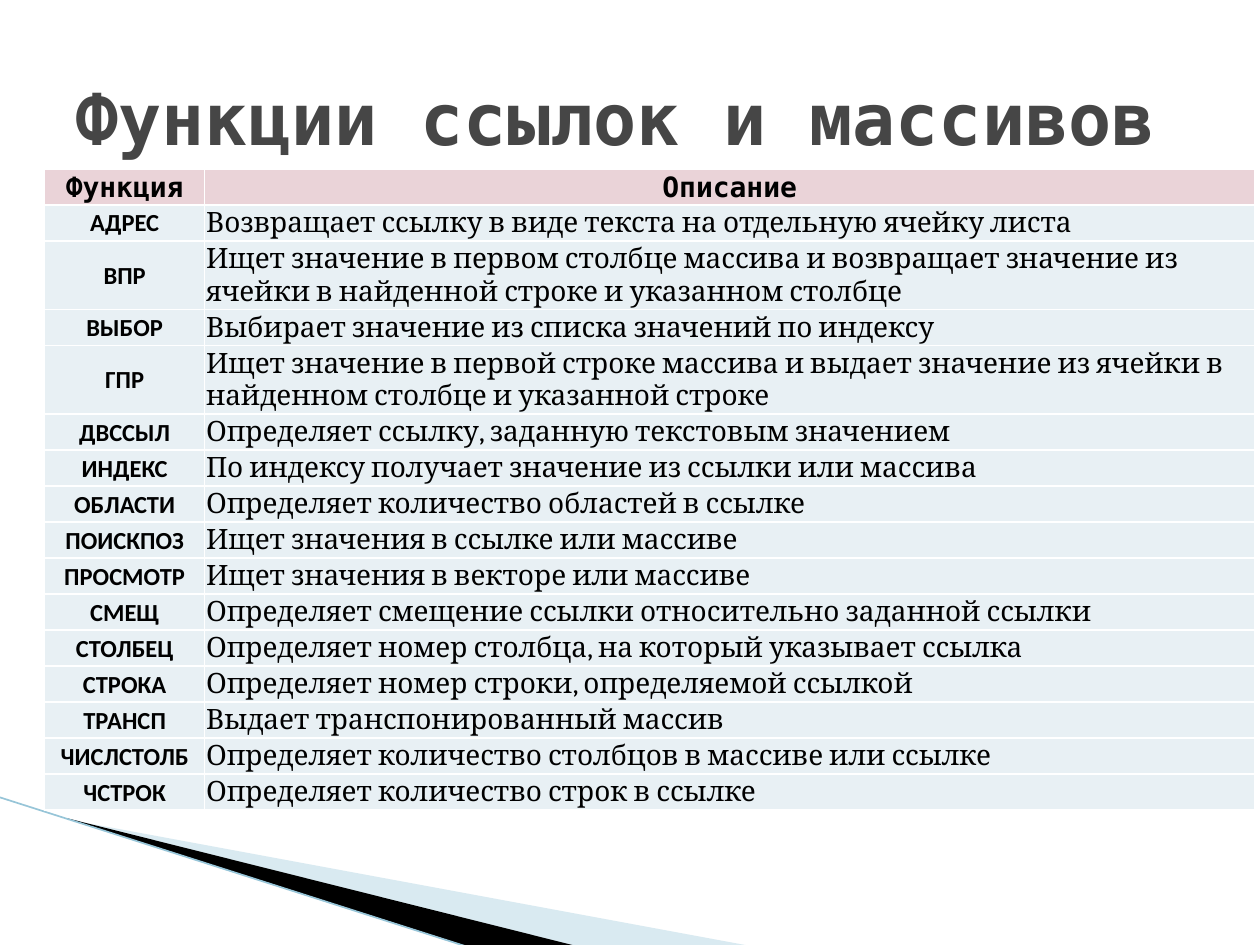
from dataclasses import dataclass

from lxml.etree import SubElement
from pptx import Presentation
from pptx.dml.color import RGBColor
from pptx.enum.shapes import MSO_CONNECTOR as Connector
from pptx.enum.text import MSO_ANCHOR as Anchor, PP_ALIGN as Align
from pptx.oxml.ns import qn
from pptx.util import Pt


@dataclass(frozen=True)
class Theme:
    title_color: str = "464646"
    text_color: str = "000000"
    header_fill: str = "EAD3D8"
    body_fill: str = "E8F0F4"
    border: str = "FFFFFF"
    pale_wedge: str = "A0CBDC"
    dark_wedge: str = "000000"
    edge: str = "97C5D8"
    heading_font: str = "DejaVu Sans Mono"
    name_font: str = "Calibri"
    description_font: str = "Cambria"
    title_size: float = 41
    table_size: float = 16
    name_size: float = 14


FUNCTIONS = [
    ("АДРЕС", "Возвращает ссылку в виде текста на отдельную ячейку листа"),
    ("ВПР", "Ищет значение в первом столбце массива и возвращает значение из "
            "ячейки в найденной строке и указанном столбце"),
    ("ВЫБОР", "Выбирает значение из списка значений по индексу"),
    ("ГПР", "Ищет значение в первой строке массива и выдает значение из ячейки в "
            "найденном столбце и указанной строке"),
    ("ДВССЫЛ", "Определяет ссылку, заданную текстовым значением"),
    ("ИНДЕКС", "По индексу получает значение из ссылки или массива"),
    ("ОБЛАСТИ", "Определяет количество областей в ссылке"),
    ("ПОИСКПОЗ", "Ищет значения в ссылке или массиве"),
    ("ПРОСМОТР", "Ищет значения в векторе или массиве"),
    ("СМЕЩ", "Определяет смещение ссылки относительно заданной ссылки"),
    ("СТОЛБЕЦ", "Определяет номер столбца, на который указывает ссылка"),
    ("СТРОКА", "Определяет номер строки, определяемой ссылкой"),
    ("ТРАНСП", "Выдает транспонированный массив"),
    ("ЧИСЛСТОЛБ", "Определяет количество столбцов в массиве или ссылке"),
    ("ЧСТРОК", "Определяет количество строк в ссылке"),
]


class SlideBuilder:
    def __init__(self, slide, theme):
        self.shapes = slide.shapes
        self.theme = theme

    def wedge(self, points, color, opacity=100):
        start, *rest = [(Pt(x), Pt(y)) for x, y in points]
        outline = self.shapes.build_freeform(*start)
        outline.add_line_segments(rest, close=True)
        shape = outline.convert_to_shape()
        shape.shadow.inherit = False
        shape.line.fill.background()
        shape.fill.solid()
        shape.fill.fore_color.rgb = RGBColor.from_string(color)
        if opacity < 100:
            fill_color = shape.fill._xPr.find(qn("a:solidFill"))[0]
            SubElement(fill_color, qn("a:alpha"), val=str(opacity * 1000))

    def line(self, start, end, color, width):
        connector = self.shapes.add_connector(
            Connector.STRAIGHT, *map(Pt, (*start, *end)))
        connector.line.color.rgb = RGBColor.from_string(color)
        connector.line.width = Pt(width)
        SubElement(connector._element.spPr, qn("a:effectLst"))

    def text(self, left, top, width, height, words, font, size, color):
        frame = self.shapes.add_textbox(*map(Pt, (left, top, width, height))).text_frame
        frame.word_wrap = True
        frame.vertical_anchor = Anchor.MIDDLE
        self.run(frame.paragraphs[0], words, font, size, color, bold=True)

    def run(self, paragraph, words, font, size, color, bold):
        run = paragraph.add_run()
        run.text = words
        run.font.name = font
        run.font.size = Pt(size)
        run.font.bold = bold
        run.font.color.rgb = RGBColor.from_string(color)

    def table(self, left, top, widths, row_height, header, rows):
        theme = self.theme
        size = sum(widths), row_height * (len(rows) + 1)
        table = self.shapes.add_table(
            len(rows) + 1, len(widths), *map(Pt, (left, top, *size))).table
        for column, width in zip(table.columns, widths):
            column.width = Pt(width)
        for row in table.rows:
            row.height = Pt(row_height)

        heading = theme.heading_font, theme.table_size
        name_style = theme.name_font, theme.name_size
        description_style = theme.description_font, theme.table_size
        for column, words in enumerate(header):
            self.cell(table.cell(0, column), words, *heading, theme.header_fill)
        for number, (name, description) in enumerate(rows, start=1):
            self.cell(table.cell(number, 0), name, *name_style, theme.body_fill)
            self.cell(table.cell(number, 1), description, *description_style,
                      theme.body_fill, bold=False, align=Align.LEFT)

    def cell(self, cell, words, font, size, fill, bold=True, align=Align.CENTER):
        cell.margin_left = cell.margin_right = cell.margin_top = Pt(0.75)
        cell.margin_bottom = 0
        cell.vertical_anchor = Anchor.MIDDLE
        paragraph = cell.text_frame.paragraphs[0]
        paragraph.alignment = align
        self.run(paragraph, words, font, size, self.theme.text_color, bold)
        self.cell_borders(cell)
        cell.fill.solid()
        cell.fill.fore_color.rgb = RGBColor.from_string(fill)

    def cell_borders(self, cell):
        """Draw all four borders; they must precede the fill in the XML."""
        properties = cell._tc.get_or_add_tcPr()
        for side in ("a:lnL", "a:lnR", "a:lnT", "a:lnB"):
            border = SubElement(properties, qn(side), w=str(Pt(1)))
            fill = SubElement(border, qn("a:solidFill"))
            SubElement(fill, qn("a:srgbClr"), val=self.theme.border)


def main():
    deck = Presentation()
    deck.slide_width, deck.slide_height = Pt(720), Pt(540)
    theme = Theme()
    builder = SlideBuilder(deck.slides.add_slide(deck.slide_layouts[6]), theme)

    builder.wedge([(39.5, 468.5), (428.5, 540.5), (328.5, 540.5), (39.5, 468)],
                  theme.pale_wedge, opacity=40)
    builder.wedge([(38, 467.5), (329, 540.5), (268, 541), (39, 468)], theme.dark_wedge)
    builder.line((-0.5, 455.5), (267, 541), theme.edge, 0.95)
    builder.text(36, 21.6, 648, 90, "Функции ссылок и массивов",
                 theme.heading_font, theme.title_size, theme.title_color)
    builder.table(25.5, 96.5, (91.5, 600), 20.6, ("Функция", "Описание"), FUNCTIONS)
    deck.save("out.pptx")


if __name__ == "__main__":
    main()
